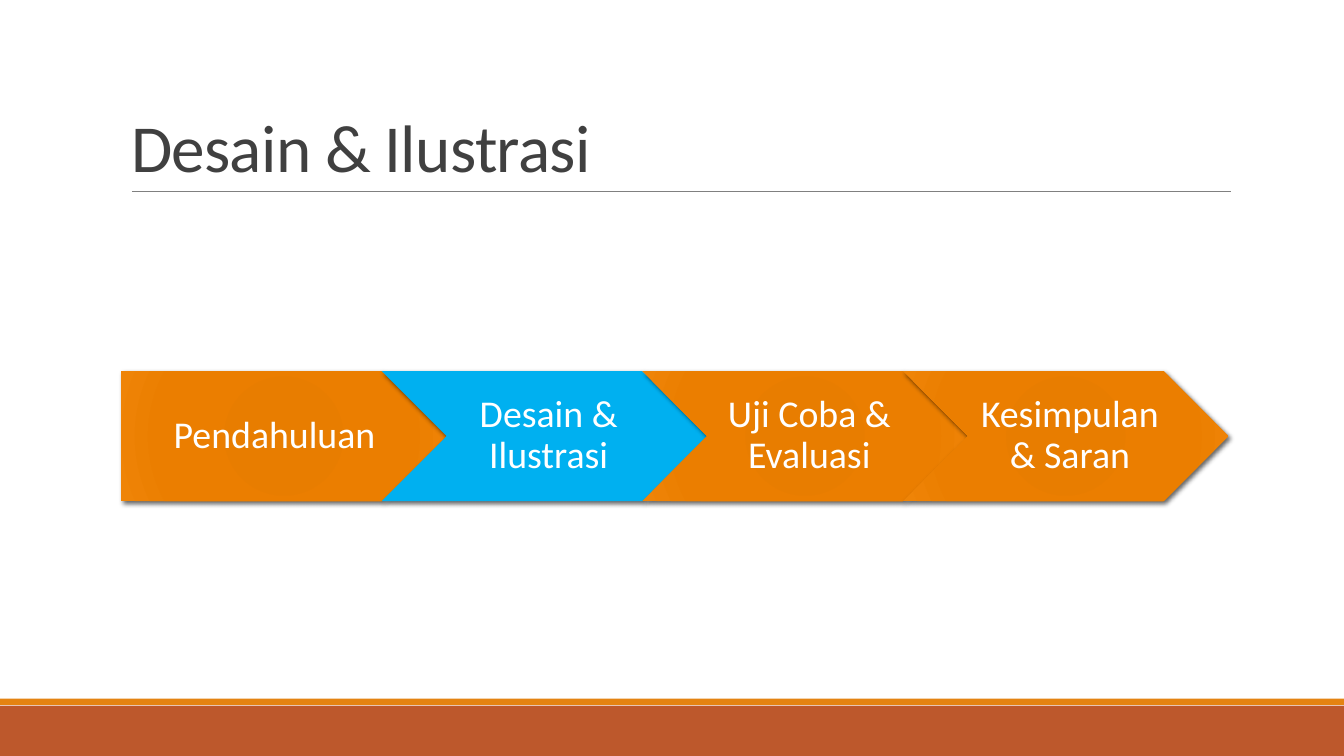
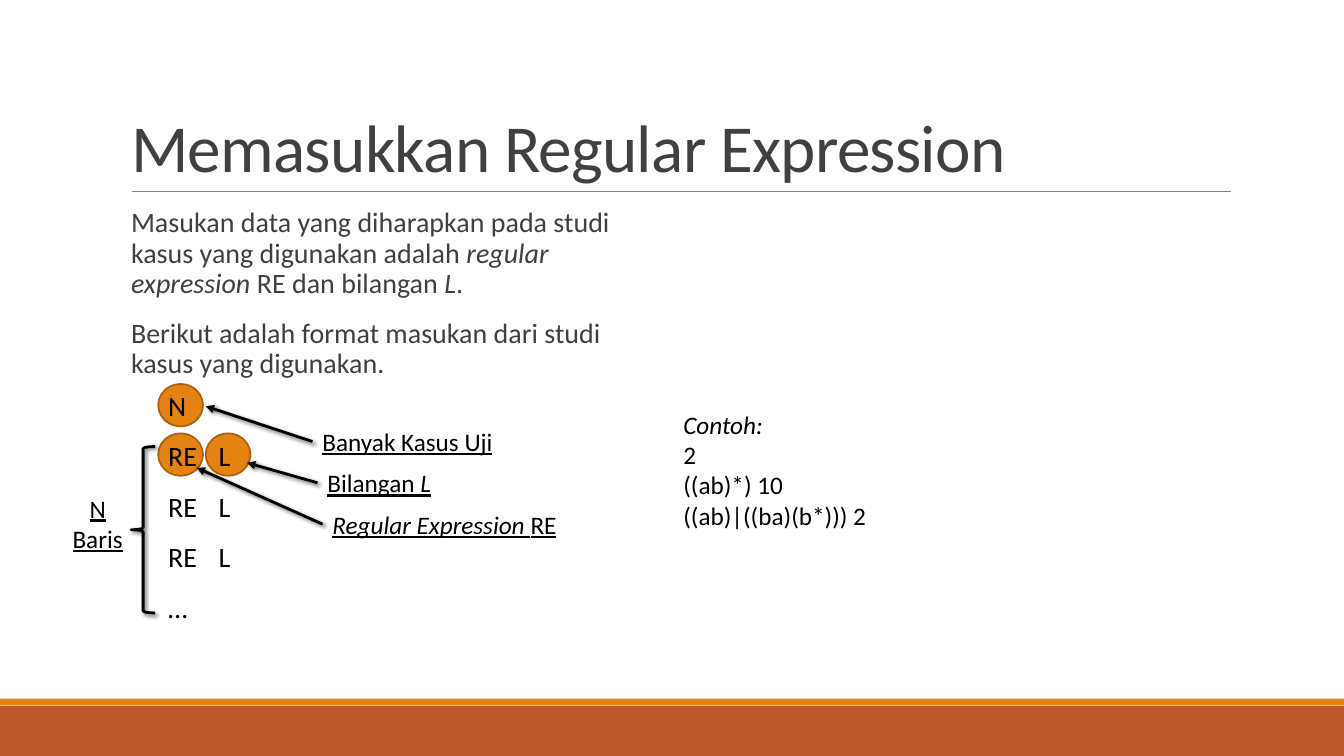
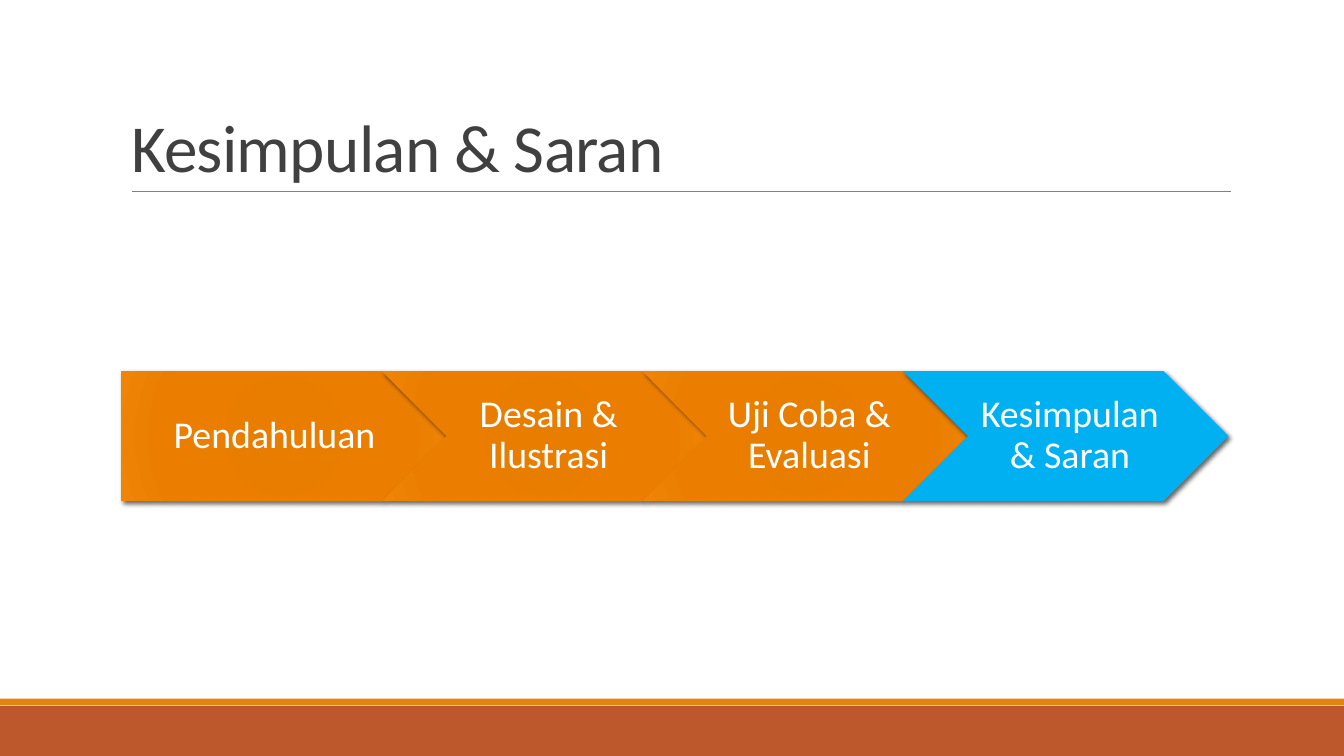
"""Build three slides on regular expression input with shared bands and process arrows."""
from dataclasses import dataclass

from lxml.etree import SubElement
from pptx import Presentation
from pptx.dml.color import RGBColor
from pptx.enum.shapes import MSO_CONNECTOR, MSO_SHAPE as Preset
from pptx.enum.text import MSO_ANCHOR as Anchor, MSO_AUTO_SIZE, PP_ALIGN as Align
from pptx.oxml import parse_xml
from pptx.oxml.ns import nsdecls, qn
from pptx.util import Pt


@dataclass(frozen=True)
class Theme:
    """Colours, type sizes and font shared by all slides."""
    font: str = "Calibri"
    band: str = "BD582C"
    accent: str = "E48312"
    outline: str = "A9610D"
    rule: str = "808080"
    text: str = "404040"
    ink: str = "000000"
    light: str = "FFFFFF"
    active: str = "00B0F0"
    step_stops: tuple = ((0, "E57B00"), (34, "E87D00"), (70, "EB7E00"), (100, "EF8407"))
    title_size: float = 48
    step_size: float = 27
    body_size: float = 20
    label_size: float = 18


class Italic(str):
    """A run of text set in italics."""


THEME = Theme()
STEPS = ("Pendahuluan", "Desain & Ilustrasi", "Uji Coba & Evaluasi", "Kesimpulan & Saran")


def rgb(value):
    """Turn a hex string into a colour."""
    return RGBColor.from_string(value)


def write(shape, paragraphs, size=THEME.label_size, color=THEME.ink, underline=None,
          align=Align.LEFT, anchor=Anchor.TOP, spacing=None, before=0, after=0,
          indent=0, tab=None, insets=None, wrap=True):
    """Fill a shape with paragraphs, each a list of runs, in one format."""
    frame = shape.text_frame
    frame.auto_size = MSO_AUTO_SIZE.NONE
    frame.word_wrap = wrap
    frame.vertical_anchor = anchor
    if insets:
        (frame.margin_left, frame.margin_top,
         frame.margin_right, frame.margin_bottom) = map(Pt, insets)
    for index, runs in enumerate(paragraphs):
        paragraph = frame.add_paragraph() if index else frame.paragraphs[0]
        properties = paragraph._p.get_or_add_pPr()
        properties.set("marL", str(Pt(indent)))
        properties.set("indent", "0")
        SubElement(properties, qn("a:buNone"))
        if tab:
            tabs = SubElement(properties, qn("a:tabLst"))
            SubElement(tabs, qn("a:tab"), pos=str(Pt(tab)), algn="l")
        paragraph.alignment = align
        paragraph.line_spacing = spacing
        paragraph.space_before = Pt(before if index else 0)
        paragraph.space_after = Pt(after)
        for text in runs:
            run = paragraph.add_run()
            run.text = str(text)
            font = run.font
            font.name, font.size, font.color.rgb = THEME.font, Pt(size), rgb(color)
            font.italic = isinstance(text, Italic)
            font.underline = underline


def place(shape, left, top, width, height):
    """Move and size a shape."""
    shape.left, shape.top, shape.width, shape.height = map(Pt, (left, top, width, height))


def add_preset(slide, preset, box, fill=None, line=None, weight=1.25):
    """Add a preset shape with a plain fill and outline."""
    shape = slide.shapes.add_shape(preset, *map(Pt, box))
    shape.shadow.inherit = False
    if fill:
        shape.fill.solid()
        shape.fill.fore_color.rgb = rgb(fill)
    else:
        shape.fill.background()
    if line:
        shape.line.color.rgb, shape.line.width = rgb(line), Pt(weight)
    else:
        shape.line.fill.background()
    return shape


def add_text(slide, box, paragraphs, **text_format):
    """Add a text box."""
    shape = slide.shapes.add_textbox(*map(Pt, box))
    write(shape, paragraphs, **text_format)
    return shape


def add_line(slide, start, end, color, weight):
    """Add a straight line without a shadow."""
    line = slide.shapes.add_connector(MSO_CONNECTOR.STRAIGHT, *map(Pt, start + end))
    line.line.color.rgb, line.line.width = rgb(color), Pt(weight)
    SubElement(line.element.spPr, qn("a:effectLst"))
    return line


def cast_shadow(shape, blur):
    """Give a shape a soft shadow to the lower right."""
    effects = shape.element.spPr.find(qn("a:effectLst"))
    shadow = SubElement(effects, qn("a:outerShdw"), blurRad=str(Pt(blur)), dist=str(Pt(2)),
                        dir=str(45 * 60000), algn="ctr", rotWithShape="0")
    color = SubElement(shadow, qn("a:srgbClr"), val=THEME.ink)
    SubElement(color, qn("a:alpha"), val="60000")


def fill_radial(shape, stops):
    """Replace the fill of a shape by a circular gradient."""
    marks = "".join(f'<a:gs pos="{position * 1000}"><a:srgbClr val="{color}"/></a:gs>'
                    for position, color in stops)
    edges = 'l="100000" t="100000" r="100000" b="100000"'
    gradient = parse_xml(
        f'<a:gradFill {nsdecls("a")} rotWithShape="1"><a:gsLst>{marks}</a:gsLst>'
        f'<a:path path="circle"><a:fillToRect {edges}/></a:path></a:gradFill>')
    properties = shape.element.spPr
    properties.replace(properties.find(qn("a:noFill")), gradient)


def add_arrow(slide, label, end):
    """Draw an arrow from the left side of a label to a point."""
    arrow = add_line(slide, (label.left.pt, label.top.pt), end, THEME.ink, 2)
    arrow.begin_connect(label, 1)
    SubElement(arrow.element.spPr.find(qn("a:ln")), qn("a:tailEnd"), type="triangle")
    cast_shadow(arrow, 3)


def decorate_master(presentation, slide):
    """Draw the bands and the title rule and move them to the master."""
    parts = (add_preset(slide, Preset.RECTANGLE, (0, 504, 960, 36), THEME.band),
             add_preset(slide, Preset.RECTANGLE, (0, 499, 960, 4.6), THEME.accent),
             add_line(slide, (94.3, 136.8), (879.1, 136.8), THEME.rule, 0.5))
    tree = presentation.slide_master.shapes.element
    for index, part in enumerate(parts):
        part.element.find(".//" + qn("p:cNvPr")).set("id", str(101 + index))
        tree.insert(2 + index, part.element)


def add_slide(presentation, title, layout="Title Only"):
    """Add a slide with a formatted title."""
    slide = presentation.slides.add_slide(presentation.slide_layouts.get_by_name(layout))
    shape = slide.shapes.title
    place(shape, 86.4, 22.3, 792, 114.5)
    write(shape, [[title]], size=THEME.title_size, color=THEME.text,
          anchor=Anchor.BOTTOM, spacing=0.85)
    for properties in shape.element.iter(qn("a:rPr")):
        properties.set("spc", "-50")
    return slide


def add_steps(slide, active):
    """Draw the chain of process arrows with one highlighted."""
    left, width = 86.4, 232.7
    for index, step in enumerate(STEPS):
        box = (left + index * width * 0.8, 265, width, 93)
        preset = Preset.CHEVRON if index else Preset.PENTAGON
        arrow = add_preset(slide, preset, box, THEME.active if step == active else None)
        if step != active:
            fill_radial(arrow, THEME.step_stops)
        cast_shadow(arrow, 3.5)
        write(arrow, [[step]], size=THEME.step_size, color=THEME.light, align=Align.CENTER,
              anchor=Anchor.MIDDLE, spacing=0.9, insets=(8 if index else 12, 6, 2, 6))


def add_input_text(slide):
    """Fill the body with the description of the input."""
    body = slide.placeholders[1]
    place(body, 86.4, 145.4, 368, 316.8)
    write(body, [
        ["Masukan data yang diharapkan pada studi kasus yang digunakan adalah ",
         Italic("regular expression "), "RE dan bilangan ", Italic("L"), "."],
        ["Berikut adalah format masukan dari studi kasus yang digunakan."],
    ], size=THEME.body_size, color=THEME.text, spacing=0.9, before=12, after=2,
        indent=7.2, insets=(0, 3.6, 0, 3.6))


def add_input_diagram(slide):
    """Draw the input format with its labels and arrows."""
    for left, top in ((146.9, 309.6), (113, 309.6), (113, 274.3)):
        add_preset(slide, Preset.OVAL, (left, top, 32, 30.2), THEME.accent, THEME.outline)
    labels = (
        ((223.2, 301, 137.5, 28.8), ["Banyak Kasus Uji"], (146.9, 290.2)),
        ((226.8, 330.5, 91.4, 28.8), ["Bilangan ", Italic("L")], (176.4, 330.5)),
        ((230.4, 360, 176.4, 28.8), [Italic("Regular Expression "), "RE"], (140.4, 334.1)),
    )
    for box, runs, target in labels:
        label = add_text(slide, box, [runs], underline=True, wrap=False)
        add_arrow(slide, label, target)
    brace = add_preset(slide, Preset.LEFT_BRACE, (93.6, 319, 17.3, 118.8),
                       line=THEME.ink, weight=2)
    cast_shadow(brace, 3)
    row_count = add_preset(slide, Preset.OVAL, (30.2, 355.7, 79.2, 36))
    write(row_count, [["N Baris"]], underline=True, align=Align.CENTER, anchor=Anchor.MIDDLE)
    rows = [["N"], *[["RE\tL"]] * 3, ["…"]]
    add_text(slide, (113, 262, 80.6, 189.4), rows, size=THEME.body_size, spacing=1.5, tab=38.5)


def add_example(slide):
    """Add the sample input."""
    add_text(slide, (481, 288.7, 149.8, 94.3),
             [[Italic("Contoh:")], ["2"], ["((ab)*) 10"], ["((ab)|((ba)(b*))) 2"]])


def main():
    """Build and save the presentation."""
    presentation = Presentation()
    presentation.slide_width, presentation.slide_height = Pt(960), Pt(540)

    design = add_slide(presentation, STEPS[1])
    decorate_master(presentation, design)
    add_steps(design, STEPS[1])

    expression = add_slide(presentation, "Memasukkan Regular Expression", "Title and Content")
    add_input_text(expression)
    add_input_diagram(expression)
    add_example(expression)

    conclusion = add_slide(presentation, STEPS[3])
    add_steps(conclusion, STEPS[3])
    presentation.save("out.pptx")


if __name__ == "__main__":
    main()
